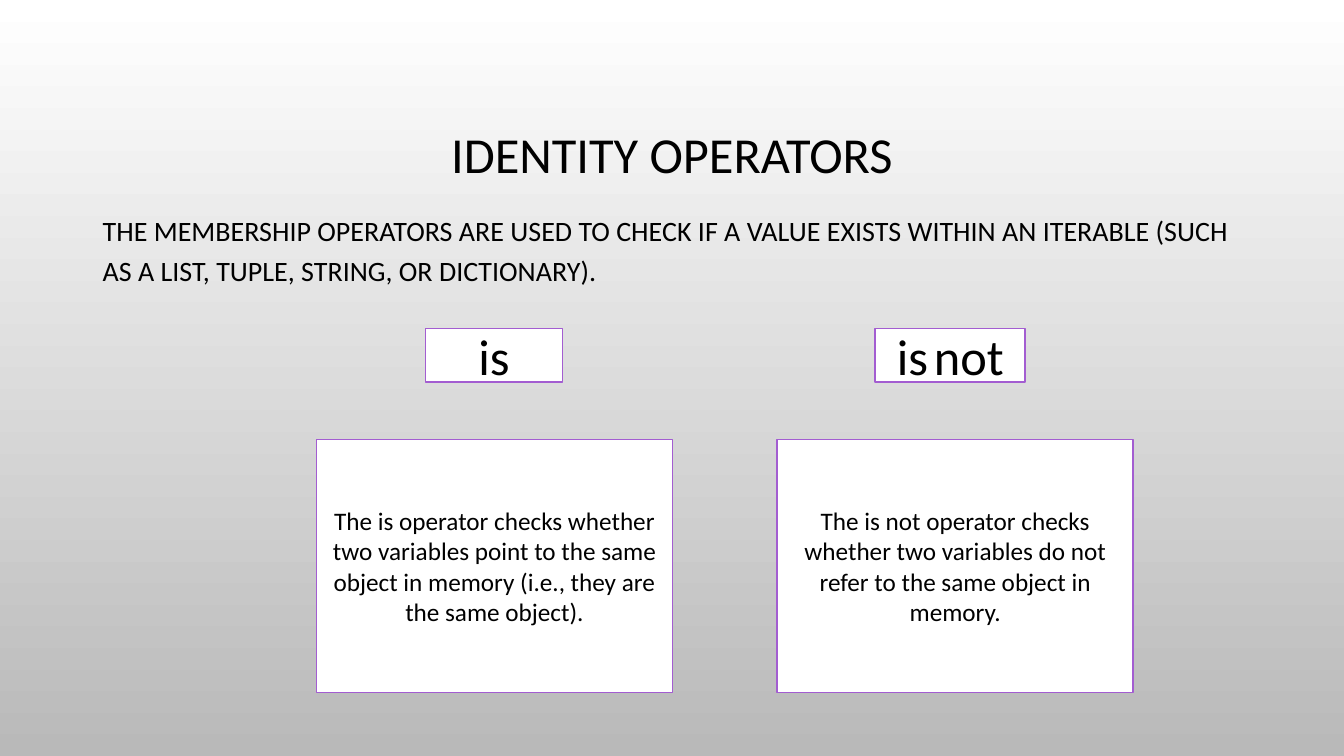
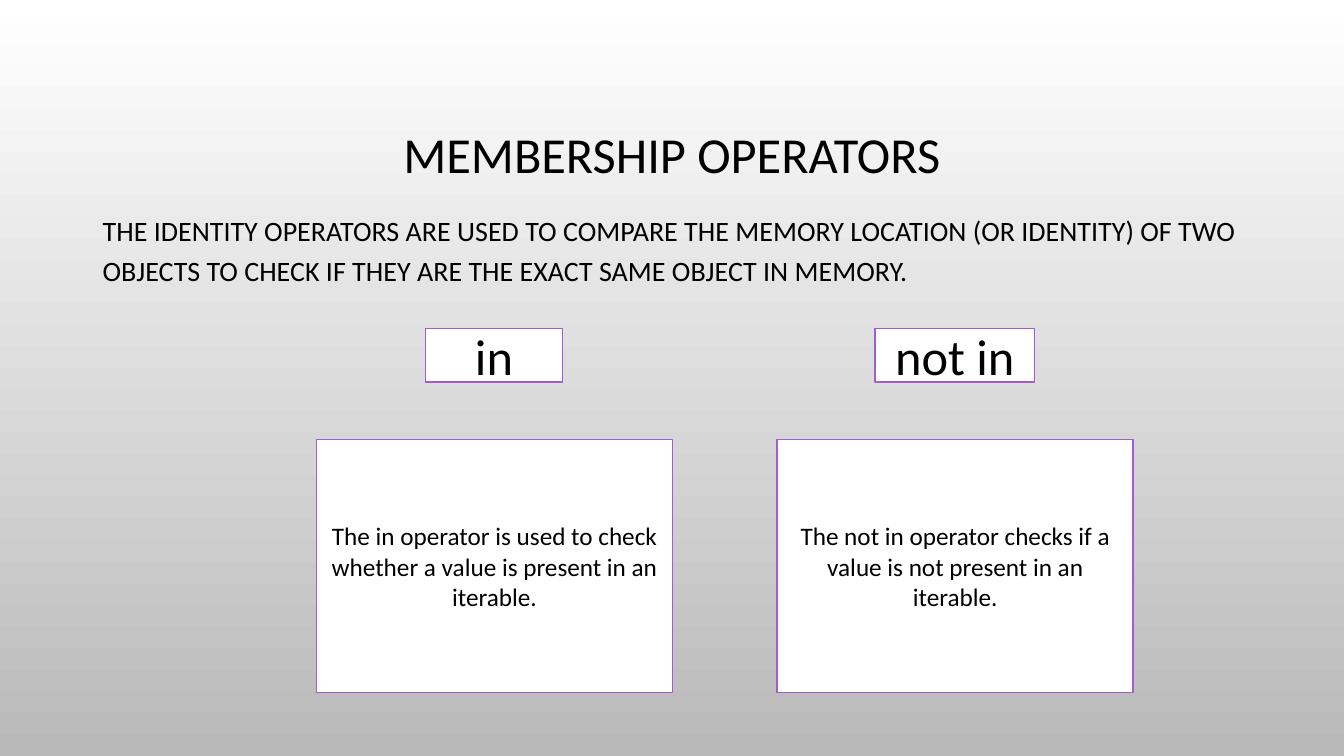
from pptx import Presentation
from pptx.dml.color import RGBColor
from pptx.enum.shapes import MSO_SHAPE
from pptx.enum.text import MSO_ANCHOR, PP_ALIGN
from pptx.util import Inches, Pt

FONT = "Calibri"
COLORS = {"ink": "000000", "card": "FFFFFF", "edge": "A35DD1",
          "top": "FFFFFF", "base": "B9B9B9"}
CARD_LEFT = (3.14, 7.71)
TAG_LEFT = (4.22, 8.68)

# Each column: tag width, tag runs (text, size), card text
SLIDES = [
    ("IDENTITY OPERATORS",
     "THE MEMBERSHIP OPERATORS ARE USED TO CHECK IF A VALUE EXISTS WITHIN "
     "AN ITERABLE (SUCH AS A LIST, TUPLE, STRING, OR DICTIONARY).",
     [(1.36, [("is", 36)],
       "The is operator checks whether two variables point to the same "
       "object in memory (i.e., they are the same object)."),
      (1.49, [("is", 36), (" ", 18), ("not", 36)],
       "The is not operator checks whether two variables do not refer to "
       "the same object in memory.")]),
    ("MEMBERSHIP OPERATORS",
     "THE IDENTITY OPERATORS ARE USED TO COMPARE THE MEMORY LOCATION (OR "
     "IDENTITY) OF TWO OBJECTS TO CHECK IF THEY ARE THE EXACT SAME OBJECT "
     "IN MEMORY.",
     [(1.36, [("in", 36)],
       "The in operator is used to check whether a value is present in an "
       "iterable."),
      (1.58, [("not in", 36)],
       "The not in operator checks if a value is not present in an "
       "iterable.")]),
]


def rgb(name):
    return RGBColor.from_string(COLORS[name])


def write(shape, runs, align=PP_ALIGN.CENTER, anchor=MSO_ANCHOR.MIDDLE):
    """Fill the shape with one paragraph of (text, size) runs and return it."""
    frame = shape.text_frame
    frame.word_wrap = True
    frame.vertical_anchor = anchor
    para = frame.paragraphs[0]
    para.alignment = align
    for text, size in runs:
        run = para.add_run()
        run.text = text
        run.font.name = FONT
        run.font.size = Pt(size)
        run.font.color.rgb = rgb("ink")
    return para


def add_title(slide, text):
    box = slide.shapes.add_textbox(
        Inches(1), Inches(0.68), Inches(11.33), Inches(1.75))
    write(box, [(text, 36)]).line_spacing = 0.9


def add_intro(slide, text):
    box = slide.shapes.add_textbox(
        Inches(0.92), Inches(2), Inches(11.5), Inches(1.05))
    para = write(box, [(text, 20)], PP_ALIGN.LEFT, MSO_ANCHOR.TOP)
    para.line_spacing = 1.2
    para.space_before = Pt(10)


def add_box(slide, left, top, width, height, runs):
    box = slide.shapes.add_shape(
        MSO_SHAPE.RECTANGLE, Inches(left), Inches(top),
        Inches(width), Inches(height))
    box.shadow.inherit = False
    box.fill.solid()
    box.fill.fore_color.rgb = rgb("card")
    box.line.color.rgb = rgb("edge")
    box.line.width = Pt(1.25)
    write(box, runs)


def set_ground(master):
    """Give all slides a gradient that darkens from top to bottom."""
    fill = master.background.fill
    fill.gradient()
    fill.gradient_angle = 270
    for stop, name, place in zip(fill.gradient_stops, ("top", "base"), (0, 1)):
        stop.color.rgb = rgb(name)
        stop.position = place


def main():
    deck = Presentation()
    deck.slide_width = Inches(13.33)
    deck.slide_height = Inches(7.5)
    set_ground(deck.slide_master)
    for title, intro, columns in SLIDES:
        slide = deck.slides.add_slide(deck.slide_layouts[6])
        add_title(slide, title)
        add_intro(slide, intro)
        for left, (width, tag, _) in zip(TAG_LEFT, columns):
            add_box(slide, left, 3.26, width, 0.53, tag)
        for left, (_, _, text) in zip(CARD_LEFT, columns):
            add_box(slide, left, 4.36, 3.53, 2.51, [(text, 18)])
    deck.save("out.pptx")


if __name__ == "__main__":
    main()
